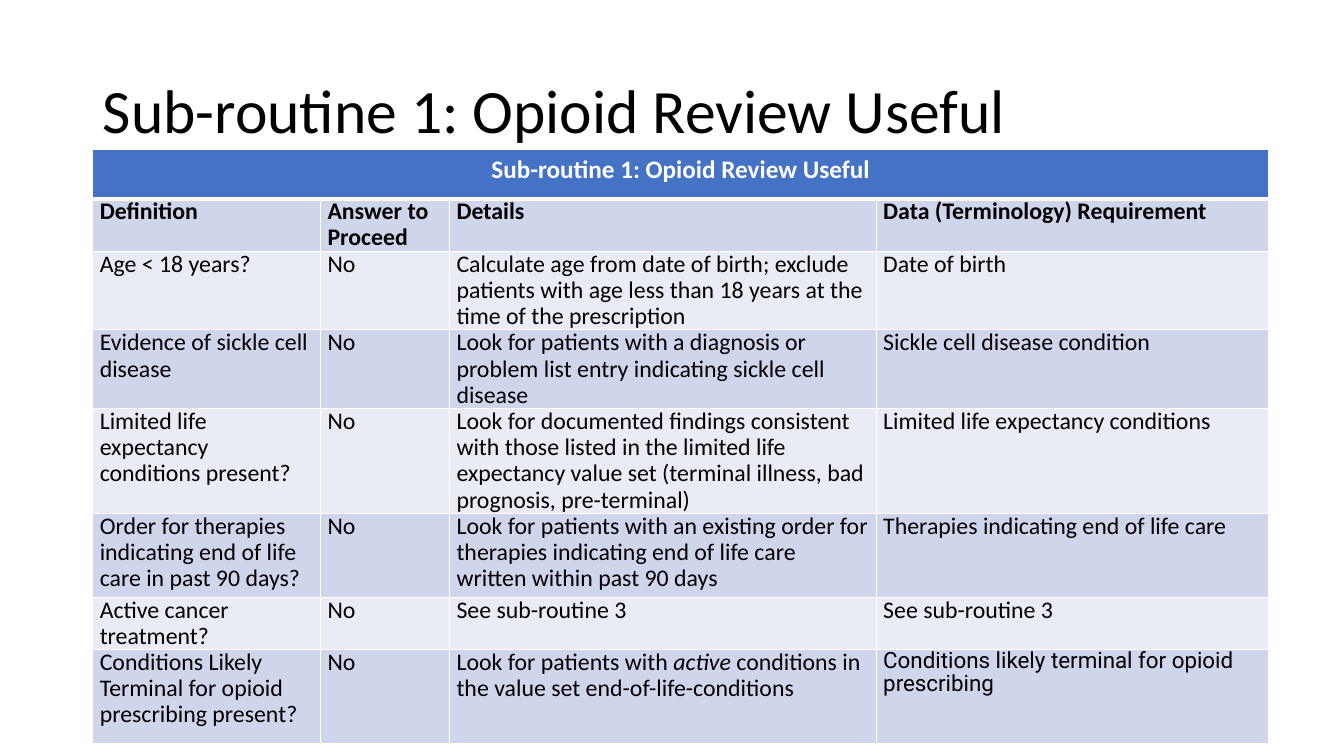
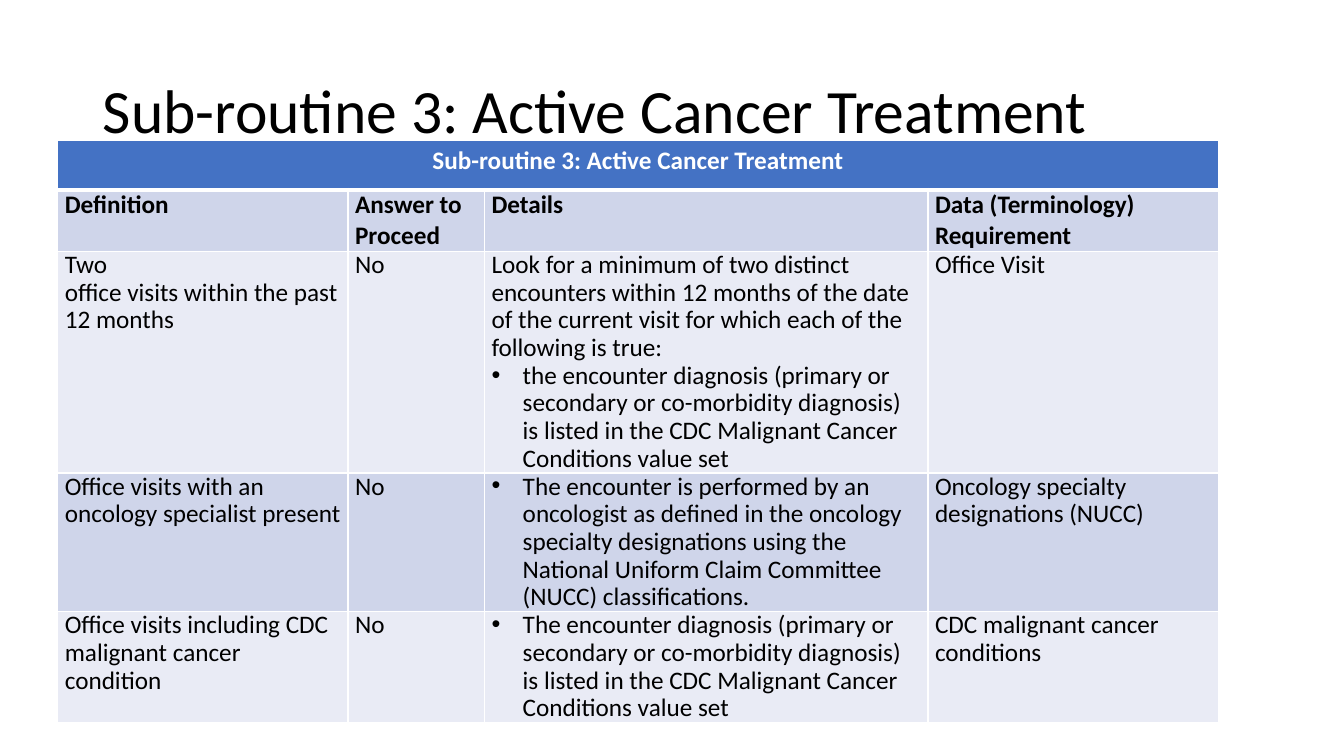
"""Build two slides that describe opioid review sub-routines as tables."""
import pptx
import pptx.dml.color
import pptx.enum.text
import pptx.oxml
import pptx.oxml.ns
import pptx.util

RGBColor = pptx.dml.color.RGBColor
BLACK = RGBColor(0x00, 0x00, 0x00)
WHITE = RGBColor(0xFF, 0xFF, 0xFF)
BLUE = RGBColor(0x44, 0x72, 0xC4)
BANDS = [RGBColor(0xE9, 0xEB, 0xF5), RGBColor(0xCF, 0xD5, 0xEA)]
FONT = "Calibri"
INDENT = pptx.util.Inches(0.31)
ALIGN = pptx.enum.text.PP_ALIGN
HEADINGS = ["Definition", "Answer to Proceed", "Details", "Data (Terminology) Requirement"]

prs = pptx.Presentation()
prs.slide_width = pptx.util.Inches(13.33)
prs.slide_height = pptx.util.Inches(7.5)
X = prs.slide_width / 100
Y = prs.slide_height / 100

TABLES = [
    {
        "title": "Sub-routine 1: Opioid Review Useful",
        "left": 6.9, "top": 19.8, "size": 17, "heading_spacing": 0.9,
        "cols": [16.95, 9.6, 31.75, 29.2],
        "rows": [6.5, 3.7, 7.9, 7.9, 7.9, 11.1, 4.7, 12.4],
        "special": {(7, 3): ("Roboto", 16)},
        "body": [
            ["Age < 18 years?", "No",
             "Calculate age from date of birth; exclude patients with age less than 18 years "
             "at the time of the prescription",
             "Date of birth"],
            ["Evidence of sickle cell disease", "No",
             "Look for patients with a diagnosis or problem list entry indicating sickle cell disease",
             "Sickle cell disease condition"],
            ["Limited life expectancy conditions present?", "No",
             "Look for documented findings consistent with those listed in the limited life "
             "expectancy value set (terminal illness, bad prognosis, pre-terminal)",
             "Limited life expectancy conditions"],
            ["Order for therapies indicating end of life care in past 90 days?", "No",
             "Look for patients with an existing order for therapies indicating end of life care "
             "written within past 90 days",
             "Therapies indicating end of life care"],
            ["Active cancer treatment?", "No", "See sub-routine 3", "See sub-routine 3"],
            ["Conditions Likely Terminal for opioid prescribing present?", "No",
             "Look for patients with *active* conditions in the value set end-of-life-conditions",
             "Conditions likely terminal for opioid prescribing"],
        ],
    },
    {
        "title": "Sub-routine 3: Active Cancer Treatment",
        "left": 4.3, "top": 18.6, "size": 18, "heading_spacing": 1.0,
        "cols": [21.6, 10.15, 33, 21.6],
        "rows": [6.5, 3.7, 7.9, 7.9, 7.9],
        "special": {},
        "body": [
            ["Two|office visits within the past 12 months", "No",
             ["Look for a minimum of two distinct encounters within 12 months of the date of "
              "the current visit for which each of the following is true:",
              "•the encounter diagnosis (primary or secondary or co-morbidity diagnosis) "
              "is listed in the CDC Malignant Cancer Conditions value set"],
             "Office Visit"],
            ["Office visits with an oncology specialist present", "No",
             "•The encounter is performed by an oncologist as defined in the oncology specialty "
             "designations using the National Uniform Claim Committee (NUCC) classifications.",
             "Oncology specialty designations (NUCC)"],
            ["Office visits including CDC malignant cancer condition", "No",
             "•The encounter diagnosis (primary or secondary or co-morbidity diagnosis) "
             "is listed in the CDC Malignant Cancer Conditions value set",
             "CDC malignant cancer conditions"],
        ],
    },
]


def add_text(p, text, size, color, bold=False, font=FONT):
    """Add runs; '|' breaks the line and '*' toggles italics."""
    for n, line in enumerate(text.split("|")):
        if n:
            p.add_line_break()
        for k, part in enumerate(line.split("*")):
            r = p.add_run()
            r.text = part
            r.font.name = font
            r.font.size = pptx.util.Pt(size)
            r.font.color.rgb = color
            r.font.bold = bold
            r.font.italic = k % 2 == 1


def style_cell(cell, fill, top, bottom):
    """Fill a cell and give it white borders, widths in points."""
    cell.fill.solid()
    cell.fill.fore_color.rgb = fill
    for n, (side, width) in enumerate(zip("LRTB", (1, 1, top, bottom))):
        cell._tc.get_or_add_tcPr().insert(n, pptx.oxml.parse_xml(
            f'<a:ln{side} {pptx.oxml.ns.nsdecls("a")} w="{pptx.util.Pt(width)}">'
            f'<a:solidFill><a:srgbClr val="{WHITE}"/></a:solidFill></a:ln{side}>'))


for t in TABLES:
    s = prs.slides.add_slide(prs.slide_layouts[5])
    sp = s.shapes.title
    sp.left, sp.top = int(6.9 * X), int(5.3 * Y)
    sp.width, sp.height = int(86.25 * X), int(19.4 * Y)
    tf = sp.text_frame
    tf.word_wrap = True
    tf.vertical_anchor = pptx.enum.text.MSO_ANCHOR.MIDDLE
    p = tf.paragraphs[0]
    p.alignment = ALIGN.LEFT
    p.line_spacing = 0.9
    add_text(p, t["title"], 44, BLACK)

    table = s.shapes.add_table(
        len(t["rows"]), len(t["cols"]), int(t["left"] * X), int(t["top"] * Y),
        int(sum(t["cols"]) * X), int(sum(t["rows"]) * Y)).table
    for col, width in zip(table.columns, t["cols"]):
        col.width = int(width * X)
    for row, height in zip(table.rows, t["rows"]):
        row.height = int(height * Y)

    for c in range(len(t["cols"])):
        style_cell(table.cell(0, c), BLUE, 1, 3)
    table.cell(0, 0).merge(table.cell(0, len(t["cols"]) - 1))
    p = table.cell(0, 0).text_frame.paragraphs[0]
    p.alignment = ALIGN.CENTER
    add_text(p, t["title"], 18, WHITE, bold=True)

    for i, texts in enumerate([HEADINGS] + t["body"], 1):
        for j, text in enumerate(texts):
            cell = table.cell(i, j)
            style_cell(cell, BANDS[i % 2], 3 if i == 1 else 1, 1)
            cell.margin_left = cell.margin_right = pptx.util.Inches(0.07)
            cell.margin_top = cell.margin_bottom = 0
            font, size = t["special"].get((i, j), (FONT, t["size"]))
            tf = cell.text_frame
            for n, para in enumerate([text] if isinstance(text, str) else text):
                p = tf.add_paragraph() if n else tf.paragraphs[0]
                p.line_spacing = t["heading_spacing"] if i == 1 else 0.9
                if para.startswith("•"):
                    pPr = p._p.get_or_add_pPr()
                    pPr.set("marL", str(INDENT))
                    pPr.set("indent", str(-INDENT))
                    pPr.append(pptx.oxml.parse_xml(
                        f'<a:buFont {pptx.oxml.ns.nsdecls("a")} typeface="Arial"/>'))
                    pPr.append(pptx.oxml.parse_xml(
                        f'<a:buChar {pptx.oxml.ns.nsdecls("a")} char="•"/>'))
                add_text(p, para.lstrip("•"), size, BLACK, i == 1, font)

prs.save("out.pptx")
